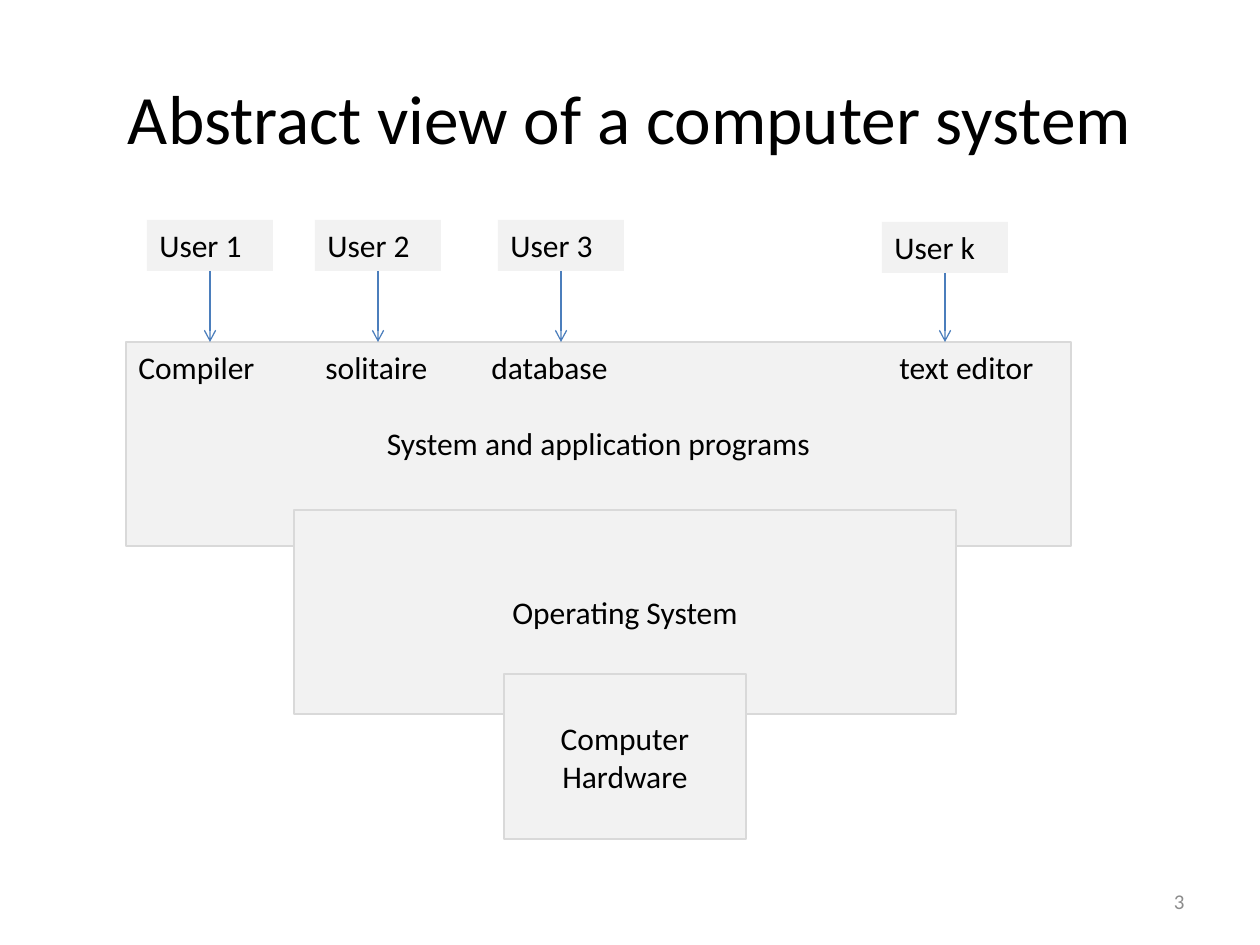
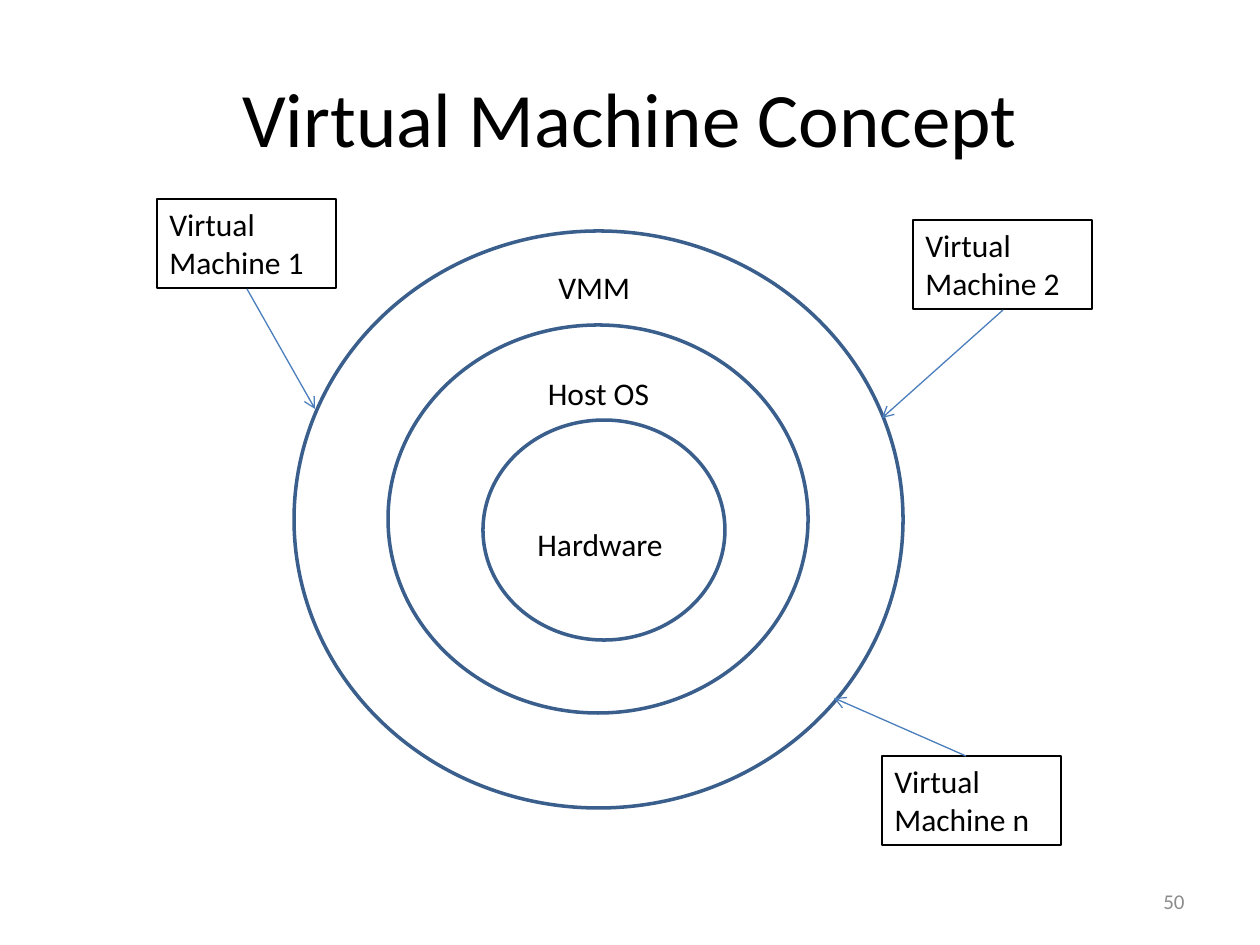
from lxml import etree
from pptx import Presentation
from pptx import util as u
from pptx.dml import color
from pptx.enum import shapes, text
from pptx.oxml import ns

SCALE = 914400 / 126
FONT = "Calibri"
INK, GREY, EDGE = "000000", "F2F2F2", "D9D9D9"
BLUE, RING, PALE, WHITE = "4B7EBC", "3A5F8C", "8C8C8C", "FFFFFF"
LEFT, MID, RIGHT = text.PP_ALIGN.LEFT, text.PP_ALIGN.CENTER, text.PP_ALIGN.RIGHT
TOP, HALF = text.MSO_ANCHOR.TOP, text.MSO_ANCHOR.MIDDLE
RECT, OVAL = shapes.MSO_SHAPE.RECTANGLE, shapes.MSO_SHAPE.OVAL


def px(*vals):
    """Turn pixels into a list of EMU lengths."""
    return [u.Emu(round(v * SCALE)) for v in vals]


def rgb(code):
    """Turn a hex string into a colour."""
    return color.RGBColor.from_string(code)


def put(item, vals):
    """Set each attribute named in a dict."""
    for name, val in vals.items():
        setattr(item, name, val)


def node(parent, tag, **attrs):
    """Add a drawing element to an XML parent."""
    return etree.SubElement(parent, ns.qn("a:" + tag), attrs)


class Deck:
    """Holds the style, the file and the current slide."""

    def __init__(self):
        self.prs = Presentation()
        put(self.prs, dict(zip(("slide_width", "slide_height"), px(1260, 945))))

    def page(self, title, num, size=44):
        """Start a slide with its title and page number."""
        layout = self.prs.slide_layouts[5]
        self.slide = self.prs.slides.add_slide(layout)
        head = self.slide.shapes.title
        put(head, dict(zip(("left", "top", "width", "height"), px(63, 38, 1134, 157))))
        self.words(head, [title], size, MID, anchor=HALF)
        self.label((903, 876, 294, 50), num, 12, RIGHT, PALE, HALF)

    def words(self, shape, lines, size=18, align=LEFT, ink=INK, anchor=TOP, pad=6):
        """Fill a shape with formatted paragraphs."""
        frame = shape.text_frame
        put(frame, {"word_wrap": True, "auto_size": text.MSO_AUTO_SIZE.NONE,
                    "vertical_anchor": anchor, "margin_top": px(pad)[0]})
        frame.text = "\n".join(lines)
        for para in frame.paragraphs:
            para.alignment = align
            put(para.font, {"name": FONT, "size": u.Pt(size)})
            para.font.color.rgb = rgb(ink)
        return frame

    def label(self, area, name, size=18, align=LEFT, ink=INK, anchor=TOP):
        """Add a plain text box."""
        box = self.slide.shapes.add_textbox(*px(*area))
        self.words(box, [name], size, align, ink, anchor)

    def shape(self, area, lines=(), kind=RECT, fill=None, line=None, width=0.75, **style):
        """Add a preset shape and return its text frame."""
        item = self.slide.shapes.add_shape(kind, *px(*area))
        item.shadow.inherit = False
        if fill:
            item.fill.solid()
            item.fill.fore_color.rgb = rgb(fill)
        else:
            item.fill.background()
        if line:
            item.line.color.rgb = rgb(line)
            item.line.width = u.Pt(width)
        else:
            item.line.fill.background()
        return self.words(item, lines, **style)

    def arrow(self, start, end):
        """Draw a thin arrow between two points."""
        link = self.slide.shapes.add_connector(
            shapes.MSO_CONNECTOR.STRAIGHT, *px(*start, *end))
        link.line.color.rgb = rgb(BLUE)
        link.line.width = u.Pt(0.75)
        props = link.element.spPr
        node(props.find(ns.qn("a:ln")), "tailEnd", type="arrow")
        node(props, "effectLst")

    def tabs(self, para, stops):
        """Give a paragraph left tab stops."""
        tabs = node(para._p.get_or_add_pPr(), "tabLst")
        for stop in px(*stops):
            node(tabs, "tab", pos=str(stop), algn="l")


def layers(deck):
    """Build the slide of system layers and users."""
    deck.page("Abstract view of a computer system", "3", 39.6)
    tools = "\t".join(("Compiler", "solitaire", "database", "text editor"))
    frame = deck.shape((126, 342, 945, 204), [tools, "System and application programs"],
                       fill=GREY, line=EDGE)
    first, last = frame.paragraphs
    deck.tabs(first, (187, 353, 761))
    put(last, {"alignment": MID, "space_before": u.Pt(22)})
    for area, name, pad in (((294, 510, 662, 204), "Operating System", 83),
                            ((504, 674, 242, 165), "Computer Hardware", 45)):
        deck.shape(area, [name], fill=GREY, line=EDGE, align=MID, pad=pad)
    for name, left, top in (("1", 147, 220), ("2", 315, 220),
                            ("3", 498, 220), ("k", 882, 222)):
        deck.shape((left, top, 126, 51), ["User " + name], fill=GREY)
        deck.arrow((left + 63, top + 51), (left + 63, 342))


def rings(deck):
    """Build the slide of nested rings and virtual machines."""
    deck.page("Virtual Machine Concept", "50")
    for ring, spot, name, align in (
            ((294, 231, 609, 577), (546, 262, 116, 50), "VMM", LEFT),
            ((388, 325, 420, 388), (525, 368, 147, 50), "Host OS", MID),
            ((483, 420, 242, 220), (525, 519, 158, 50), "Hardware", LEFT)):
        deck.shape(ring, kind=OVAL, fill=WHITE, line=RING, width=2)
        deck.label(spot, name, align=align)
    for name, left, top, start, end in (
            ("1", 157, 199, (247, 289), (315, 409)),
            ("2", 913, 220, (1003, 310), (882, 418)),
            ("n", 882, 756, (966, 756), (834, 698))):
        deck.shape((left, top, 179, 89), ["Virtual Machine " + name], line=INK)
        deck.arrow(start, end)


deck = Deck()
layers(deck)
rings(deck)
deck.prs.save("out.pptx")
